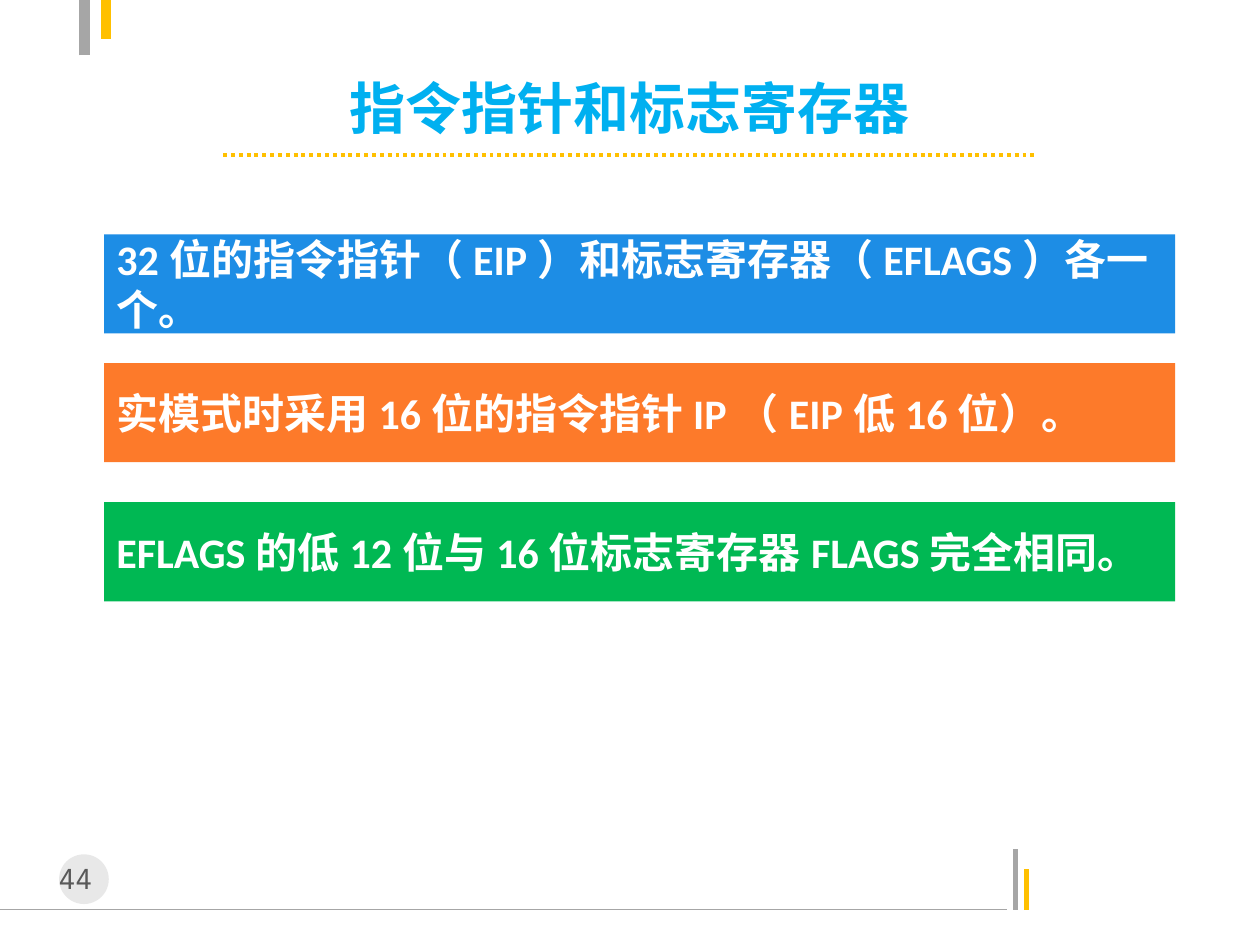
import pptx
import pptx.dml.color
import pptx.enum.dml
import pptx.enum.shapes
import pptx.enum.text
import pptx.oxml
import pptx.oxml.ns
import pptx.util

Pt = pptx.util.Pt
RGB = pptx.dml.color.RGBColor
ALIGN = pptx.enum.text.PP_ALIGN
ANCHOR = pptx.enum.text.MSO_ANCHOR
SHAPE = pptx.enum.shapes.MSO_SHAPE

GREY = RGB(0xA6, 0xA6, 0xA6)
DISC = RGB(0xBF, 0xBF, 0xBF)
GOLD = RGB(0xFF, 0xC0, 0x00)
DARK = RGB(0x59, 0x59, 0x59)
SKY = RGB(0x00, 0xB0, 0xF0)
BLUE = RGB(0x1D, 0x8D, 0xE5)
ORANGE = RGB(0xFD, 0x7A, 0x2A)
GREEN = RGB(0x00, 0xB8, 0x53)
WHITE = RGB(0xFF, 0xFF, 0xFF)

HAN = "Noto Sans CJK SC"
RULES = [
    (0, 519.8, 575.3, 519.8, GREY, 0.75),
    (580.3, 519.8, 580.3, 485.3, GREY, 3),
    (586.8, 519.8, 586.8, 496.8, GOLD, 3),
    (48.2, 31.7, 48.2, 0, GREY, 6),
    (60.5, 0, 60.5, 22.3, GOLD, 6),
]
BARS = [
    (133.9, BLUE, "32位的指令指针（EIP）和标志寄存器（EFLAGS）各一个。"),
    (207.5, ORANGE, "实模式时采用16位的指令指针IP（EIP低16位）。"),
    (287, GREEN, "EFLAGS的低12位与16位标志寄存器FLAGS完全相同。"),
]


def add_tag(parent, tag, **attrs):
    node = pptx.oxml.parse_xml(f"<{tag} {pptx.oxml.ns.nsdecls('a')}/>")
    for key, value in attrs.items():
        node.set(key, value)
    parent.append(node)


def set_text(frame, text, size, face, color, align, bold=False):
    frame.text = text
    line = frame.paragraphs[0]
    line.alignment = align
    run = line.runs[0]
    font = run.font
    font.size = Pt(size)
    font.bold = bold
    font.color.rgb = color
    font.name = face
    add_tag(font._element, "a:ea", typeface=HAN)


def add_rule(slide, x1, y1, x2, y2, color, width):
    rule = slide.shapes.add_connector(
        pptx.enum.shapes.MSO_CONNECTOR.STRAIGHT, Pt(x1), Pt(y1), Pt(x2), Pt(y2))
    rule.line.color.rgb = color
    rule.line.width = Pt(width)
    add_tag(rule._element.spPr, "a:effectLst")
    return rule


def add_block(slide, kind, left, top, width, height, color):
    block = slide.shapes.add_shape(kind, Pt(left), Pt(top), Pt(width), Pt(height))
    block.shadow.inherit = False
    block.fill.solid()
    block.fill.fore_color.rgb = color
    block.line.fill.background()
    return block


def add_bar(slide, top, color, text):
    bar = add_block(slide, SHAPE.RECTANGLE, 59.5, top, 612, 56.7, color)
    frame = bar.text_frame
    frame.word_wrap = True
    frame.vertical_anchor = ANCHOR.MIDDLE
    set_text(frame, text, 24, "Calibri", WHITE, ALIGN.LEFT, True)


def add_number(slide):
    """Page number on a pale, see-through disc."""
    disc = add_block(slide, SHAPE.OVAL, 33.8, 488.2, 28.4, 28.4, DISC)
    tint = disc.fill._xPr.find(".//" + pptx.oxml.ns.qn("a:srgbClr"))
    add_tag(tint, "a:alpha", val="35000")
    box = slide.shapes.add_textbox(Pt(22.3), Pt(488.9), Pt(51.1), Pt(26.6))
    box.text_frame.word_wrap = True
    set_text(box.text_frame, "44 ", 16, "Noto Sans Mono", DARK, ALIGN.CENTER)


def set_title(slide, text):
    title = slide.shapes.title
    title.left, title.top = Pt(99), Pt(43.2)
    title.width, title.height = Pt(522), Pt(36)
    frame = title.text_frame
    frame.auto_size = pptx.enum.text.MSO_AUTO_SIZE.NONE
    frame.word_wrap = False
    frame.vertical_anchor = ANCHOR.MIDDLE
    set_text(frame, text, 32, HAN, SKY, ALIGN.CENTER, True)


def main():
    deck = pptx.Presentation()
    deck.slide_width, deck.slide_height = Pt(720), Pt(540)
    slide = deck.slides.add_slide(deck.slide_layouts[5])
    for rule in RULES:
        add_rule(slide, *rule)
    add_number(slide)
    set_title(slide, "指令指针和标志寄存器")
    dots = add_rule(slide, 127.5, 88.6, 592.5, 88.6, GOLD, 2.25)
    dots.line.dash_style = pptx.enum.dml.MSO_LINE.ROUND_DOT
    for bar in BARS:
        add_bar(slide, *bar)
    deck.save("out.pptx")


if __name__ == "__main__":
    main()
